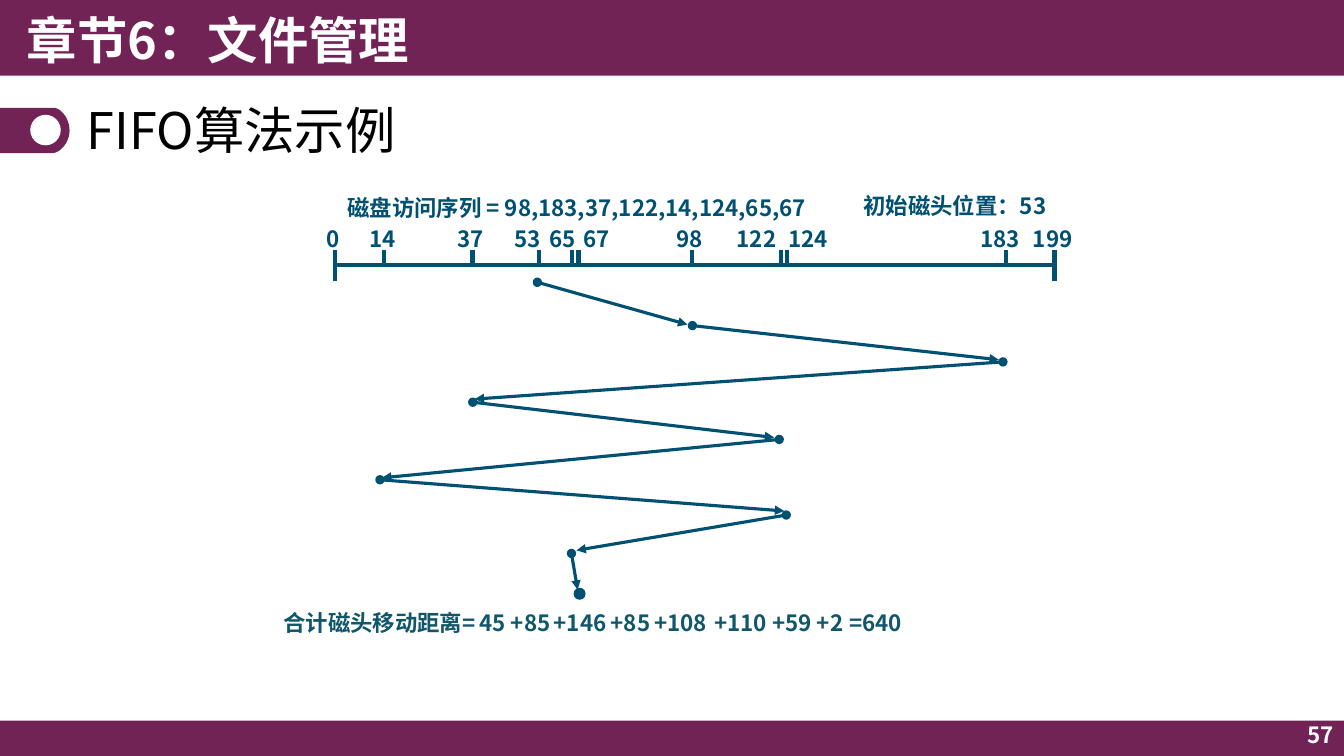
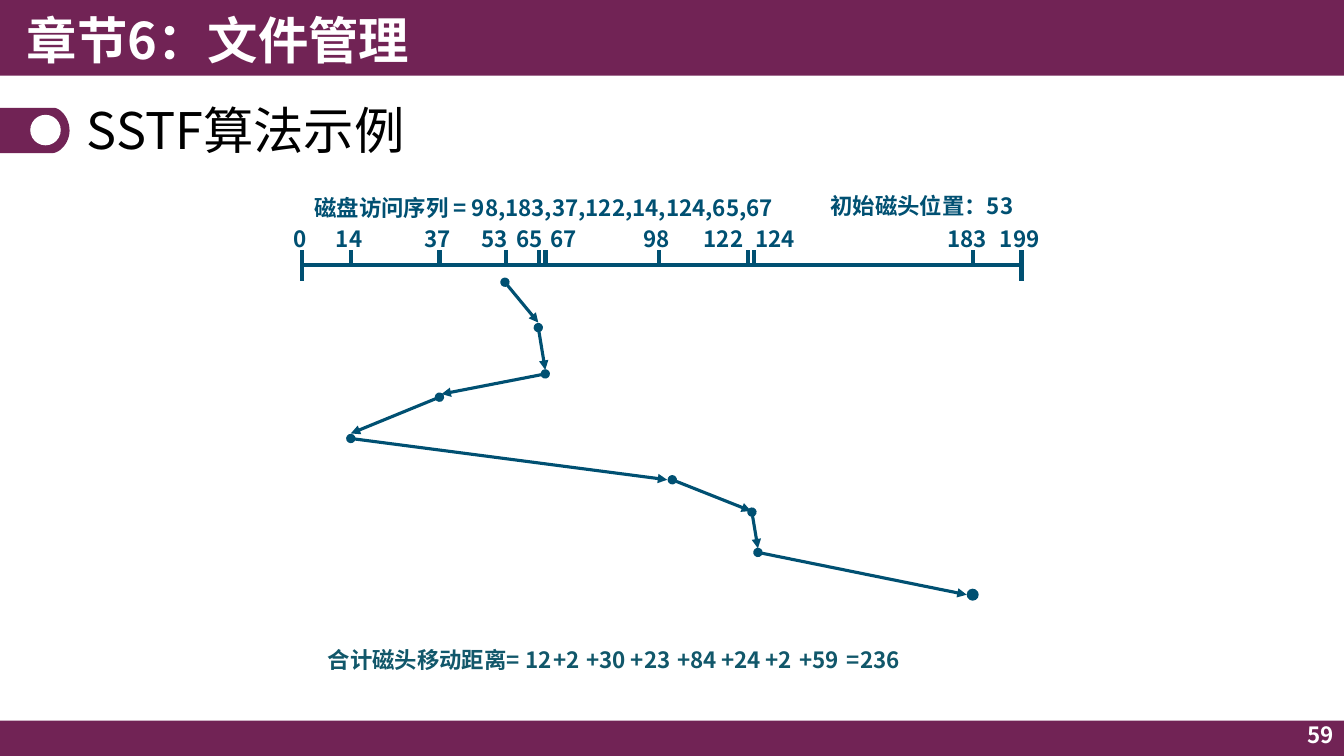
"""Build two slides that trace disk head movement under FIFO and SSTF."""
from dataclasses import dataclass

from lxml import etree
from pptx import Presentation
from pptx.dml.color import RGBColor
from pptx.enum.shapes import MSO_CONNECTOR, MSO_SHAPE
from pptx.enum.text import MSO_ANCHOR, MSO_AUTO_SIZE, PP_ALIGN
from pptx.oxml.ns import qn
from pptx.util import Pt

STRAIGHT = MSO_CONNECTOR.STRAIGHT
RECT, OVAL = MSO_SHAPE.RECTANGLE, MSO_SHAPE.OVAL
TOP, MIDDLE = MSO_ANCHOR.TOP, MSO_ANCHOR.MIDDLE
FIT, FIXED = MSO_AUTO_SIZE.SHAPE_TO_FIT_TEXT, MSO_AUTO_SIZE.NONE
LEFT, CENTER, RIGHT = PP_ALIGN.LEFT, PP_ALIGN.CENTER, PP_ALIGN.RIGHT


@dataclass(frozen=True)
class Theme:
    """Colours, type sizes and line widths."""
    font: str = "Noto Sans CJK SC"
    plum: str = "712355"
    teal: str = "005072"
    slate: str = "11576A"
    white: str = "FFFFFF"
    black: str = "000000"
    large: int = 36
    small: int = 16
    axis: float = 3
    arrow: float = 2.25


@dataclass(frozen=True)
class Style:
    """Look of one kind of text box."""
    color: str
    size: int
    bold: bool = True
    align: PP_ALIGN = LEFT
    anchor: MSO_ANCHOR = MIDDLE
    fit: bool = False
    space: float = 1


@dataclass(frozen=True)
class Case:
    """Content of one slide."""
    title: str
    page: str
    start: float
    moves: tuple
    goal: tuple
    terms: tuple
    base: float


THEME = Theme()
BANNER = Style(THEME.white, THEME.large)
TITLE = Style(THEME.black, THEME.large, bold=False, space=0.9)
PAGE = Style(THEME.white, THEME.small, align=RIGHT)
LABEL = Style(THEME.teal, THEME.small, anchor=TOP, fit=True)
TERM = Style(THEME.slate, THEME.small, align=CENTER, fit=True)

WIDE, HIGH = 960, 540
ROW = 26.6
RULE, TICK, STEM = 189.4, 178.6, 200.9
SPAN = 514
DOT = 8.6

MARKS = (
    ("0", 0, -13), ("14", 35, 17.3), ("37", 98.3, 80.5),
    ("53", 146, 121), ("65", 169.6, 146), ("67", 174, 170.5),
    ("98", 255, 237), ("122", 318.8, 280), ("124", 323.2, 317),
    ("183", 479.2, 454), ("199", SPAN, 491.5),
)

CURVES = (
    ((38.2, 77), (43.2, 77), (49.7, 84.2), (49.7, 93.4)),
    ((49.7, 93.4), (49.7, 102.2), (42.5, 109.4), (37.4, 109.4)),
)

CASES = (
    Case(
        "FIFO算法示例", "57", 239.2,
        (
            (383.8, 201.6, 491, 231.8), (494.6, 232.6, 713.5, 257),
            (716.4, 258.5, 339.1, 285.1), (337.7, 287.3, 553, 312.5),
            (556.6, 313.9, 272.9, 341.3), (271.4, 342.7, 560.2, 365),
            (561.6, 367.9, 411.8, 393.1), (408.2, 395.3, 412.6, 421.2),
        ),
        (414, 424.1),
        (
            ("合计磁头移动距离=", 189), ("45", 334.8), ("+85", 355.7),
            ("+146", 385.9), ("+85", 427), ("+108", 457.9),
            ("+110", 500.4), ("+59", 542.2), ("+2", 574.6), ("=640", 596.9),
        ),
        431.6,
    ),
    Case(
        "SSTF算法示例", "59", 215.6,
        (
            (360.7, 201.6, 384.5, 230.4), (384.5, 234, 389.5, 264.2),
            (389.5, 267.1, 315.4, 281.5), (313.9, 283.7, 250.6, 309.6),
            (250.6, 313.2, 476.6, 342.7), (480.2, 342.7, 536.4, 365),
            (537.1, 365.8, 541.4, 391.7), (541.4, 394.6, 690.5, 424.8),
        ),
        (694.8, 424.8),
        (
            ("合计磁头移动距离=", 220.6), ("12", 367.2), ("+2", 386.6),
            ("+30", 409.7), ("+23", 441.4), ("+84", 474.5),
            ("+24", 506.2), ("+2", 537.8), ("+59", 561.6), ("=236", 595.4),
        ),
        458,
    ),
)


def paint(shape, color):
    """Give a shape a flat fill with no line or shadow."""
    shape.shadow.inherit = False
    shape.fill.solid()
    shape.fill.fore_color.rgb = RGBColor.from_string(color)
    shape.line.fill.background()


def block(slide, kind, left, top, width, height, color):
    """Add a filled preset shape."""
    shape = slide.shapes.add_shape(
        kind, Pt(left), Pt(top), Pt(width), Pt(height))
    paint(shape, color)


def write(slide, text, left, top, width, height, style):
    """Add a text box in the given style."""
    box = slide.shapes.add_textbox(Pt(left), Pt(top), Pt(width), Pt(height))
    frame = box.text_frame
    frame.text = text
    frame.word_wrap = not style.fit
    frame.auto_size = FIT if style.fit else FIXED
    frame.vertical_anchor = style.anchor
    para = frame.paragraphs[0]
    para.alignment = style.align
    para.line_spacing = style.space
    for run in para.runs:
        run.font.size = Pt(style.size)
        run.font.bold = style.bold
        run.font.color.rgb = RGBColor.from_string(style.color)
        run.font.name = THEME.font
        props = run._r.get_or_add_rPr()
        etree.SubElement(props, qn("a:ea"), typeface=THEME.font)


def measure(text):
    """Return the width of a box that holds digits, signs and Han text."""
    widths = {"+": 12.2, "=": 12.2}
    return 14.4 + sum(
        widths.get(char, 10.1 if char.isdigit() else 17.2) for char in text)


def stroke(slide, ends, weight, arrow=False):
    """Add a straight line, or an arrow that starts with a dot."""
    line = slide.shapes.add_connector(STRAIGHT, *(Pt(end) for end in ends))
    line.line.color.rgb = RGBColor.from_string(THEME.teal)
    line.line.width = Pt(weight)
    props = line._element.spPr
    if arrow:
        outline = props.find(qn("a:ln"))
        etree.SubElement(outline, qn("a:headEnd"), type="oval")
        etree.SubElement(outline, qn("a:tailEnd"), type="triangle")
    etree.SubElement(props, qn("a:effectLst"))


def bend(curve, steps=12):
    """Return points along a cubic curve, without its first point."""
    points = []
    for step in range(1, steps + 1):
        t = step / steps
        parts = ((1 - t) ** 3, 3 * t * (1 - t) ** 2,
                 3 * t * t * (1 - t), t ** 3)
        points.append(tuple(
            Pt(sum(part * spot[axis] for part, spot in zip(parts, curve)))
            for axis in (0, 1)))
    return points


def badge(slide):
    """Draw the rounded tab beside the title."""
    first, last = CURVES[0][0], CURVES[-1][-1]
    points = [(Pt(first[0]), Pt(first[1]))]
    for curve in CURVES:
        points += bend(curve)
    points.append((0, Pt(last[1])))
    form = slide.shapes.build_freeform(0, Pt(first[1]))
    form.add_line_segments(points, close=True)
    paint(form.convert_to_shape(), THEME.plum)
    block(slide, OVAL, 21.6, 82, 21.8, 21.8, THEME.white)


def frame(slide, case):
    """Draw the bands, heading, title and page number."""
    block(slide, RECT, 0, 514.8, WIDE, 25.2, THEME.plum)
    block(slide, RECT, 0, 0, WIDE, 54, THEME.plum)
    badge(slide)
    write(slide, "章节6：文件管理", 12, 0.5, 480, 55.4, BANNER)
    write(slide, case.title, 55, 68.4, 850, 53.3, TITLE)
    write(slide, case.page, 744, 512, 216, 26, PAGE)


def scale(slide, start):
    """Draw the track axis with its ticks and labels."""
    write(slide, "磁盘访问序列 = 98,183,37,122,14,124,65,67",
          start + 2, 135, 355.7, ROW, LABEL)
    write(slide, "初始磁头位置：53", start + 370.6, 134, 152, ROW, LABEL)
    for text, shift, side in MARKS:
        write(slide, text, start + side, 157, measure(text), ROW, LABEL)
        spot = start + shift
        foot = STEM if shift in (0, SPAN) else RULE
        stroke(slide, (spot, TICK, spot, foot), THEME.axis)
    stroke(slide, (start, RULE, start + SPAN, RULE), THEME.axis)


def trace(slide, case):
    """Draw the head moves and the final dot."""
    for move in case.moves:
        stroke(slide, move, THEME.arrow, arrow=True)
    across, down = case.goal
    block(slide, OVAL, across - DOT / 2, down - DOT / 2, DOT, DOT, THEME.teal)


def total(slide, case):
    """Write the sum of all moves."""
    for text, left in case.terms:
        write(slide, text, left, case.base, measure(text), ROW, TERM)


def main():
    """Build and save the deck."""
    deck = Presentation()
    deck.slide_width, deck.slide_height = Pt(WIDE), Pt(HIGH)
    for case in CASES:
        slide = deck.slides.add_slide(deck.slide_layouts[6])
        frame(slide, case)
        scale(slide, case.start)
        trace(slide, case)
        total(slide, case)
    deck.save("out.pptx")


if __name__ == "__main__":
    main()
